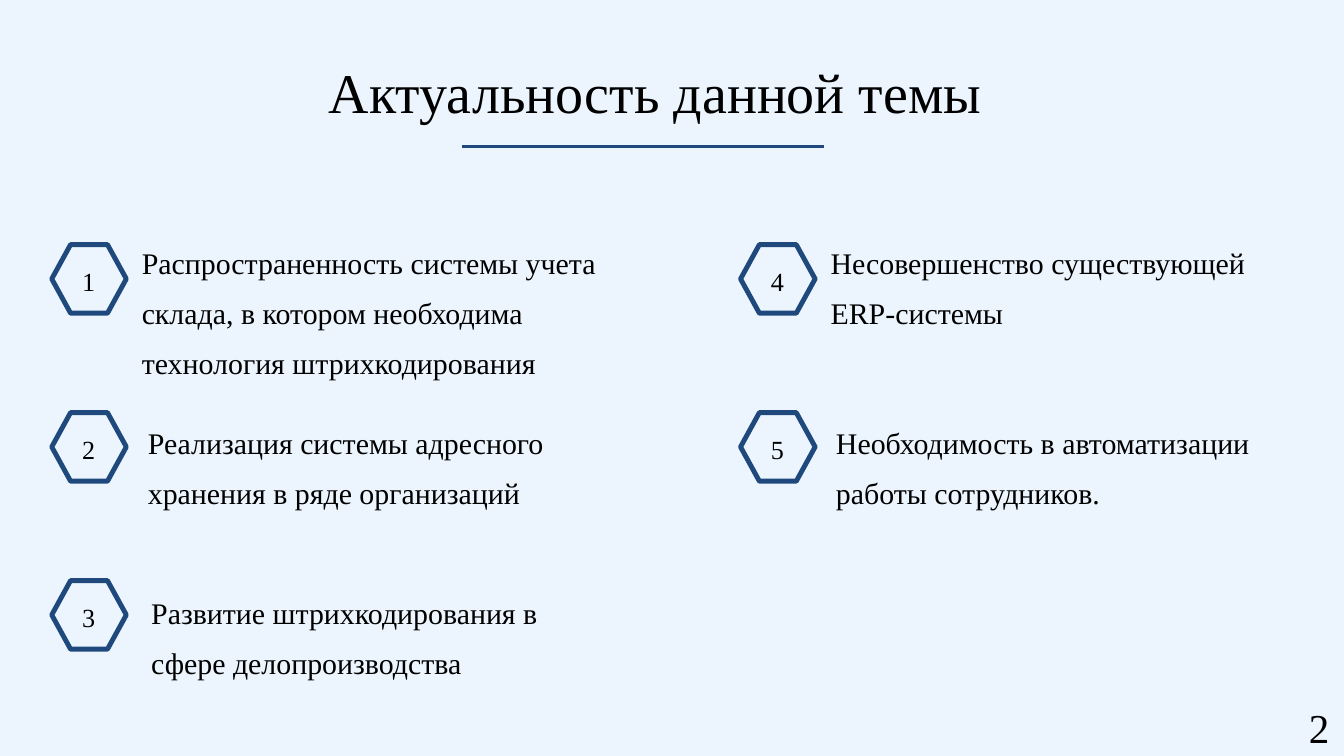
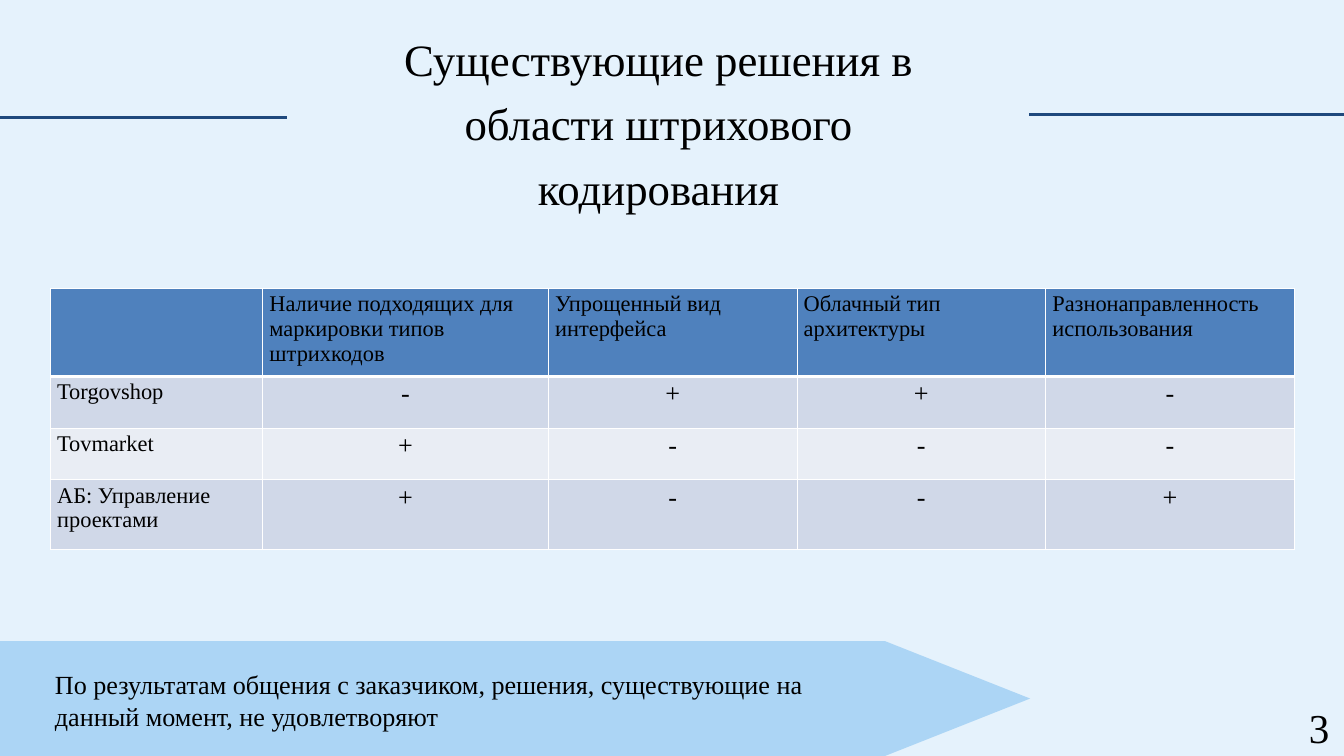
from pptx import Presentation
from pptx.dml.color import RGBColor
from pptx.enum.shapes import MSO_CONNECTOR
from pptx.enum.text import MSO_ANCHOR, MSO_AUTO_SIZE, PP_ALIGN
from pptx.oxml.ns import qn
from pptx.util import Inches, Pt
from lxml import etree

STRAIGHT = MSO_CONNECTOR.STRAIGHT
LEFT, CENTER, RIGHT = PP_ALIGN.LEFT, PP_ALIGN.CENTER, PP_ALIGN.RIGHT
TOP, MIDDLE = MSO_ANCHOR.TOP, MSO_ANCHOR.MIDDLE
GROW, FIXED = MSO_AUTO_SIZE.SHAPE_TO_FIT_TEXT, MSO_AUTO_SIZE.NONE

FONT = "Times New Roman"
WIDE, HIGH = 20, 11.25
COLORS = {
    "text": "000000",
    "navy": "1F497D",
    "arrow": "2994E5",
    "pale": "ECF5FD",
    "mist": "E5F2FC",
    "head": "4F81BD",
    "odd": "D0D8E8",
    "even": "E9EDF4",
    "white": "FFFFFF",
}


def rgb(name):
    return RGBColor.from_string(COLORS[name])


class Deck:
    """Holds the style and the current slide."""

    def __init__(self):
        self.prs = Presentation()
        self.prs.slide_width = Inches(WIDE)
        self.prs.slide_height = Inches(HIGH)
        self.slide = None

    def start(self, back):
        self.slide = self.prs.slides.add_slide(self.prs.slide_layouts[6])
        fill = self.slide.background.fill
        fill.solid()
        fill.fore_color.rgb = rgb(back)

    def put(self, frame, words, size, align=LEFT, space=None):
        """Add the words as one run in the frame's first paragraph."""
        para = frame.paragraphs[0]
        para.alignment = align
        if space:
            para.line_spacing = space
        run = para.add_run()
        run.text = words
        run.font.name = FONT
        run.font.size = Pt(size)
        run.font.color.rgb = rgb("text")

    def text(self, box, words, size, align=LEFT, space=None, inset=None,
             anchor=TOP, fit=GROW, home=None):
        home = home or self.slide
        frame = home.shapes.add_textbox(*map(Inches, box)).text_frame
        frame.word_wrap = True
        frame.auto_size = fit
        frame.vertical_anchor = anchor
        if inset is not None:
            frame.margin_left = frame.margin_right = Inches(inset)
            frame.margin_top = frame.margin_bottom = Inches(inset)
        self.put(frame, words, size, align, space)

    def title(self, box, words, size):
        self.text(box, words, size, CENTER, 1.2, 0)

    def number(self, num):
        self.text((19.09, 10.41, 0.79, 0.84), str(num), 44, RIGHT)

    def rule(self, left, right, top):
        line = self.slide.shapes.add_connector(
            STRAIGHT, *map(Inches, (left, top, right, top)))
        line.line.color.rgb = rgb("navy")
        line.line.width = Pt(3)
        etree.SubElement(line.element.spPr, qn("a:effectLst"))

    def outline(self, points, home=None):
        """Closed shape through the given points."""
        home = home or self.slide
        dots = [(Inches(x), Inches(y)) for x, y in points]
        pen = home.shapes.build_freeform(*dots[0])
        pen.add_line_segments(dots[1:], close=True)
        shape = pen.convert_to_shape()
        shape.shadow.inherit = False
        return shape

    def badge(self, left, top, num):
        """Hexagon with a number in it."""
        group = self.slide.shapes.add_group_shape()
        mid = top + 0.51
        low = top + 1.02
        near, far, end = left + 0.28, left + 0.83, left + 1.11
        hexagon = self.outline([(end, mid), (far, low), (near, low),
                                (left, mid), (near, top), (far, top)], group)
        hexagon.fill.background()
        hexagon.line.color.rgb = rgb("navy")
        hexagon.line.width = Pt(5.25)
        self.text((left + 0.15, top - 0.02, 0.8, 1.03), str(num), 28, CENTER,
                  1.2, 0.06, MIDDLE, FIXED, group)

    def arrow(self, right, neck, top):
        """Pale arrow from the left edge along the bottom."""
        shape = self.outline([(0, top), (neck, top), (right, (top + HIGH) / 2),
                              (neck, HIGH), (0, HIGH)])
        shape.fill.solid()
        shape.fill.fore_color.rgb = rgb("arrow")
        tint = shape.element.spPr.find(".//" + qn("a:srgbClr"))
        etree.SubElement(tint, qn("a:alpha"), val="30000")
        shape.line.fill.background()

    def border(self, cell, low):
        props = cell._tc.get_or_add_tcPr()
        for side, width in (("L", 1), ("R", 1), ("T", 1), ("B", low)):
            line = etree.SubElement(props, qn("a:ln" + side), w=str(Pt(width)))
            fill = etree.SubElement(line, qn("a:solidFill"))
            etree.SubElement(fill, qn("a:srgbClr"), val=COLORS["white"])

    def table(self, left, top, cols, highs, rows):
        box = map(Inches, (left, top, sum(cols), sum(highs)))
        grid = self.slide.shapes.add_table(len(rows), len(cols), *box).table
        for col, width in zip(grid.columns, cols):
            col.width = Inches(width)
        for r, (row, high) in enumerate(zip(rows, highs)):
            grid.rows[r].height = Inches(high)
            shade = "head" if r == 0 else "odd" if r % 2 else "even"
            for c, words in enumerate(row):
                cell = grid.cell(r, c)
                self.border(cell, 1 if r else 3)
                cell.fill.solid()
                cell.fill.fore_color.rgb = rgb(shade)
                mark = r > 0 and c > 0
                if words:
                    self.put(cell.text_frame, words, 28 if mark else 24,
                             CENTER if mark else LEFT)


def reasons(deck):
    deck.start("pale")
    deck.title((3.93, 0.66, 11.64, 1.21), "Актуальность данной темы", 60)
    deck.rule(6.88, 12.26, 2.18)
    # column, row, text left, top, width, height, words
    items = [
        (0, 0, 2.11, 3.43, 6.96, 2.26, "Распространенность системы учета "
         "склада, в котором необходима технология штрихкодирования"),
        (0, 1, 2.2, 6.11, 6.22, 1.51,
         "Реализация системы адресного хранения в ряде организаций"),
        (0, 2, 2.25, 8.63, 5.9, 1.51,
         "Развитие штрихкодирования в сфере делопроизводства"),
        (1, 0, 12.36, 3.43, 6.39, 1.51,
         "Несовершенство существующей ERP-системы"),
        (1, 1, 12.44, 6.11, 6.3, 1.51,
         "Необходимость в автоматизации работы сотрудников."),
    ]
    for num, (col, row, *box, words) in enumerate(items, 1):
        deck.badge(0.77 + 10.25 * col, 3.64 + 2.5 * row, num)
        deck.text(box, words, 32, space=1.4, inset=0)
    deck.number(2)


def options(deck):
    deck.start("mist")
    deck.arrow(15.33, 13.17, 9.54)
    deck.title((5.06, 0.31, 9.48, 2.91),
               "Существующие решения в области штрихового кодирования", 48)
    deck.rule(0, 4.27, 1.75)
    deck.rule(15.32, WIDE, 1.71)
    deck.table(0.75, 4.29, [3.16, 4.25, 3.7, 3.7, 3.7],
               [1.31, 0.77, 0.77, 1.03], [
        ("", "Наличие подходящих для маркировки типов штрихкодов",
         "Упрощенный вид интерфейса", "Облачный тип архитектуры",
         "Разнонаправленность использования"),
        ("Torgovshop", *"-++-"),
        ("Tovmarket", *"+---"),
        ("АБ: Управление проектами", *"+--+"),
    ])
    deck.text((0.72, 9.9, 12.64, 1.04), "По результатам общения с заказчиком, "
              "решения, существующие на данный момент, не удовлетворяют", 28)
    deck.number(3)


def main():
    deck = Deck()
    reasons(deck)
    options(deck)
    deck.prs.save("out.pptx")


if __name__ == "__main__":
    main()
